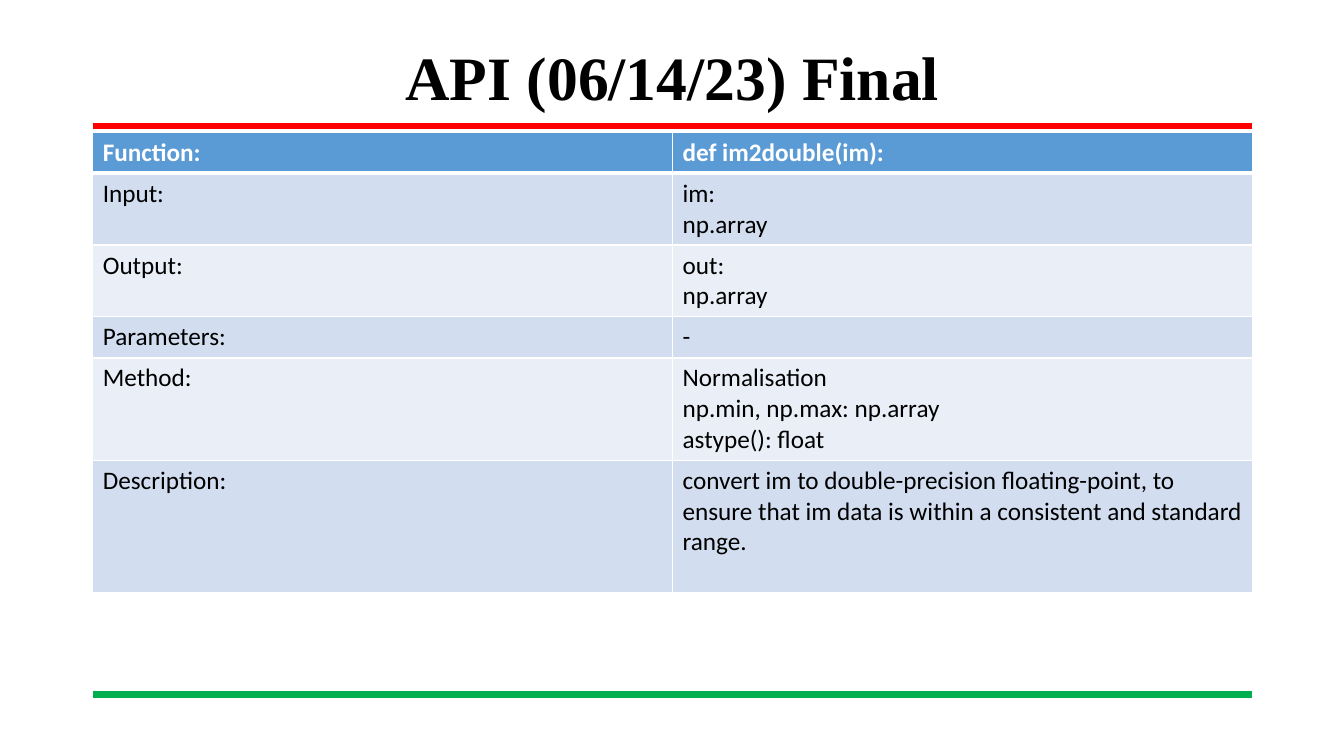
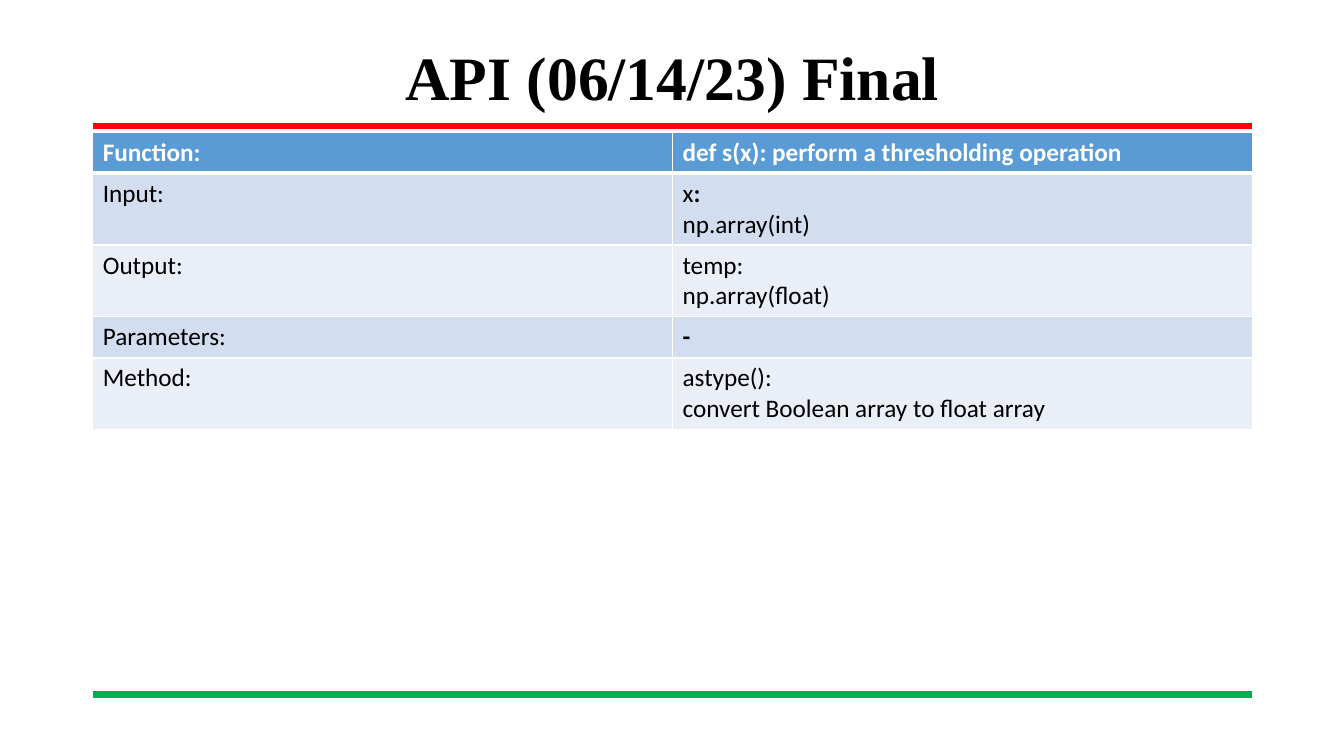
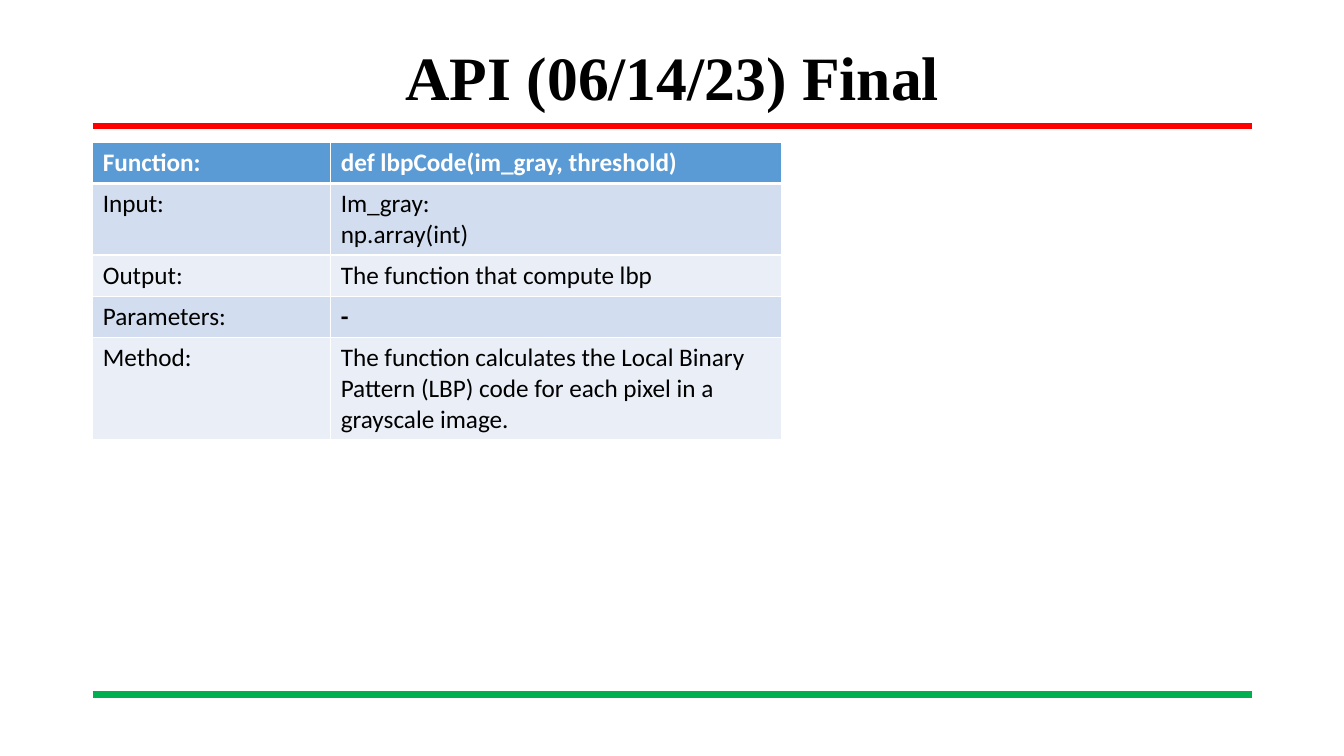
from lxml import etree
from pptx import Presentation
from pptx import util as u
from pptx.dml.color import RGBColor
from pptx.enum import shapes, text
from pptx.oxml import ns

TITLE = "API (06/14/23) Final"
LEFT, WIDTH = 0.92, 11.5
WHITE, BLACK = "FFFFFF", "000000"
RED, GREEN = "FF0000", "00B050"
HEADER, BANDS = "5B9BD5", ("D2DEEF", "EAEFF7")
ROW_HEIGHT, EXTRA_LINE = 0.41, 0.3
LABELS = ("Function:", "Input:", "Output:", "Parameters:", "Method:", "Description:")

# Each page: table top, column widths, and one (line count, text) per row.
PAGES = (
    (1.31, (5.75, 5.75), (
        (1, "def im2double(im):"),
        (2, "im:\nnp.array"),
        (2, "out:\nnp.array"),
        (1, "-"),
        (3, "Normalisation\nnp.min, np.max: np.array\nastype(): float"),
        (4, "convert im to double-precision floating-point, to ensure that "
            "im data is within a consistent and standard range."),
    )),
    (1.31, (5.75, 5.75), (
        (1, "def s(x): perform a thresholding operation"),
        (2, "x**:**\nnp.array(int)"),
        (2, "temp:\nnp.array(float)"),
        (1, "**-**"),
        (2, "astype():\nconvert Boolean array to float array"),
    )),
    (1.41, (2.36, 4.47), (
        (1, "def lbpCode(im_gray, threshold)"),
        (2, "Im_gray:\nnp.array(int)"),
        (1, "The function that compute lbp"),
        (1, "**-**"),
        (3, "The function calculates the Local Binary Pattern (LBP) code "
            "for each pixel in a grayscale image."),
    )),
)


def color(value):
    """Turn a hex string into a colour."""
    return RGBColor.from_string(value)


def format_font(font, name, size, shade, bold):
    """Set the face, size, colour and weight of a font."""
    font.name, font.size, font.bold = name, u.Pt(size), bold
    font.color.rgb = color(shade)


def add_rule(layout, page, top, shade):
    """Draw a full-width rule and hand it over to the shared layout."""
    rule = page.shapes.add_connector(
        shapes.MSO_CONNECTOR.STRAIGHT, u.Inches(LEFT), u.Inches(top),
        u.Inches(LEFT + WIDTH), u.Inches(top))
    rule.line.color.rgb = color(shade)
    rule.line.width = u.Pt(4.5)
    etree.SubElement(rule.element.spPr, ns.qn("a:effectLst"))
    layout.shapes.element.append(rule.element)


def place_title(layout):
    """Set the title box once for every page."""
    title = layout.placeholders[0]
    title.left, title.top = u.Inches(LEFT), u.Inches(0.4)
    title.width, title.height = u.Inches(WIDTH), u.Inches(0.79)


def write_title(page):
    """Fill the title placeholder."""
    frame = page.shapes.title.text_frame
    frame.text = TITLE
    frame.auto_size = text.MSO_AUTO_SIZE.NONE
    frame.vertical_anchor = text.MSO_ANCHOR.MIDDLE
    para = frame.paragraphs[0]
    para.alignment = text.PP_ALIGN.CENTER
    para.line_spacing = 0.9
    format_font(para.runs[0].font, "Times New Roman", 44, BLACK, True)


def set_borders(cell, row):
    """Give a cell white edges, thick between header and body."""
    widths = {"lnL": 1, "lnR": 1, "lnT": 3 if row == 1 else 1, "lnB": 3 if row == 0 else 1}
    properties = cell._tc.get_or_add_tcPr()
    for index, (edge, width) in enumerate(widths.items()):
        line = etree.Element(ns.qn(f"a:{edge}"), w=str(u.Pt(width)))
        fill = etree.SubElement(line, ns.qn("a:solidFill"))
        etree.SubElement(fill, ns.qn("a:srgbClr"), val=WHITE)
        properties.insert(index, line)


def fill_cell(cell, row, words):
    """Write a cell, with text between double asterisks in bold."""
    is_header = row == 0
    cell.fill.solid()
    cell.fill.fore_color.rgb = color(HEADER if is_header else BANDS[(row - 1) % 2])
    set_borders(cell, row)
    frame = cell.text_frame
    for index, line in enumerate(words.split("\n")):
        para = frame.add_paragraph() if index else frame.paragraphs[0]
        for part, piece in enumerate(line.split("**")):
            if piece:
                span = para.add_run()
                span.text = piece
                format_font(span.font, "Calibri", 18, WHITE if is_header else BLACK,
                            is_header or part % 2 == 1)


def add_function_table(page, left, top, widths, rows):
    """Describe one function in a two-column table."""
    heights = [ROW_HEIGHT + EXTRA_LINE * (lines - 1) for lines, _ in rows]
    table = page.shapes.add_table(
        len(rows), len(widths), u.Inches(left), u.Inches(top),
        u.Inches(sum(widths)), u.Inches(sum(heights))).table
    table.horz_banding = False
    for column, width in zip(table.columns, widths):
        column.width = u.Inches(width)
    for row, (label, (_, words)) in enumerate(zip(LABELS, rows)):
        table.rows[row].height = u.Inches(heights[row])
        fill_cell(table.cell(row, 0), row, label)
        fill_cell(table.cell(row, 1), row, words)


def main():
    """Build and save the deck."""
    deck = Presentation()
    deck.slide_width, deck.slide_height = u.Inches(13.33), u.Inches(7.5)
    layout = deck.slide_layouts.get_by_name("Title Only")
    place_title(layout)
    for top, widths, rows in PAGES:
        page = deck.slides.add_slide(layout)
        write_title(page)
        add_function_table(page, LEFT, top, widths, rows)
    for top, shade in ((1.25, RED), (6.89, GREEN)):
        add_rule(layout, deck.slides[0], top, shade)
    deck.save("out.pptx")


if __name__ == "__main__":
    main()
